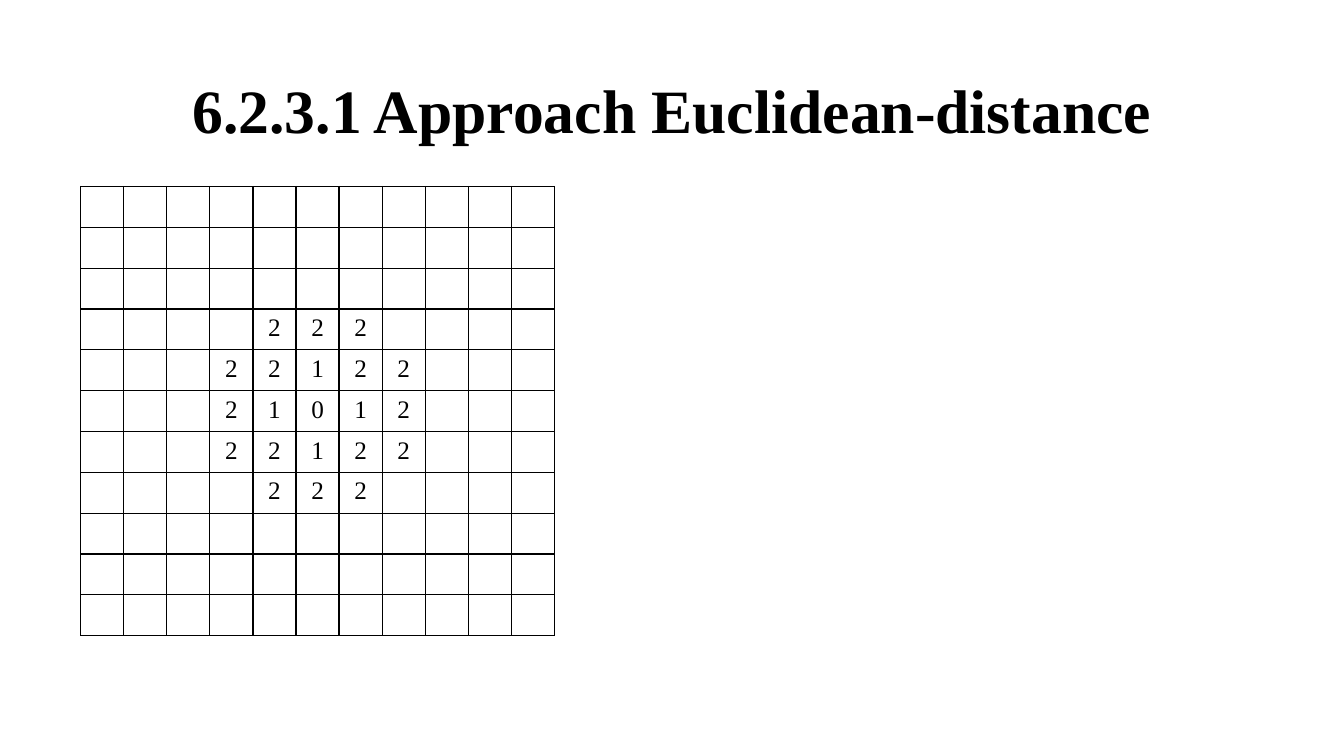
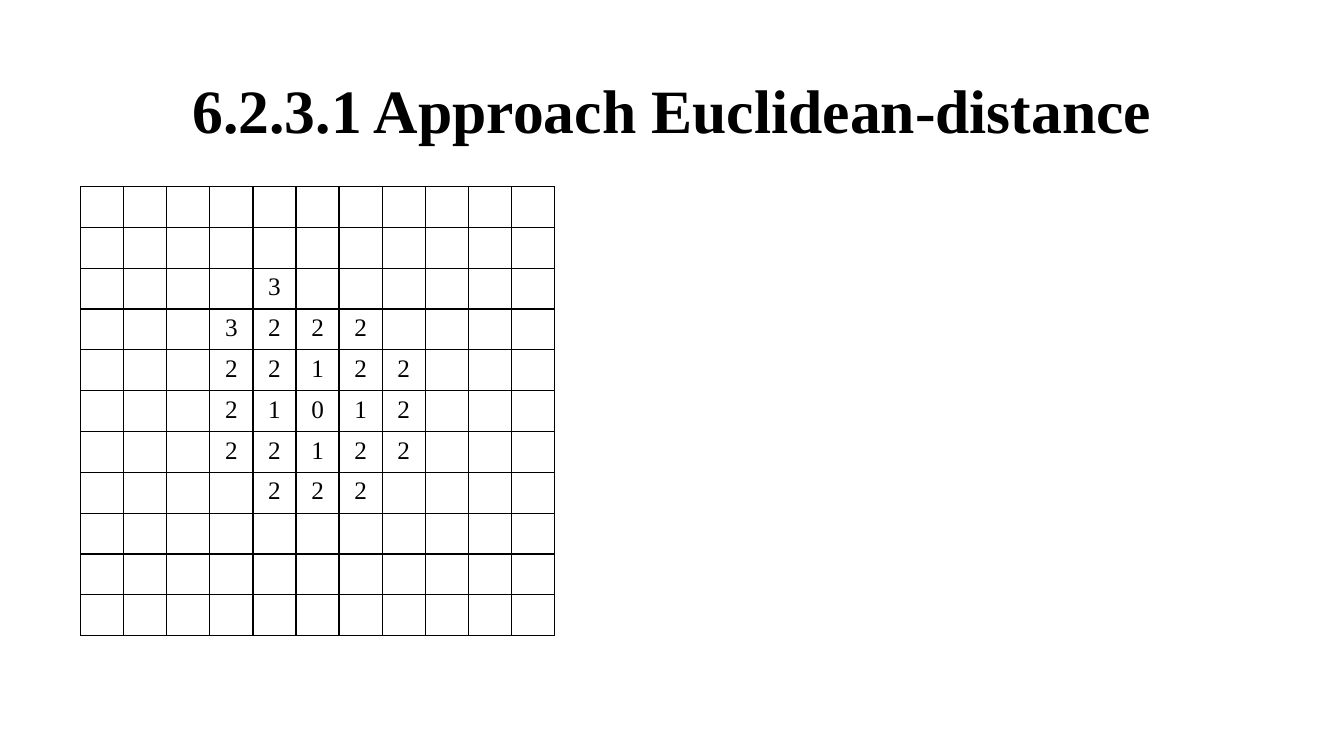
import pptx
import pptx.dml.color
import pptx.enum.text
import pptx.oxml
import pptx.oxml.ns
import pptx.util

PX = 9144
FONT = "Times New Roman"
COLORS = {"text": "000000", "grid": "000000", "background": "FFFFFF"}
TITLE = "6.2.3.1 Approach Euclidean-distance"
TITLE_BOX = (92, 40, 1150, 145)
GRID_BOX = (80, 185, 470, 446)
GRID_SIZE = 11
GRID_LINE = pptx.util.Pt(1)

NEAR_DISTANCES = {
    (3, 4): "222",
    (4, 3): "22122",
    (5, 3): "21012",
    (6, 3): "22122",
    (7, 4): "222",
}
FAR_DISTANCES = {(2, 4): "3", (3, 3): "3"}
STEPS = [NEAR_DISTANCES, {**NEAR_DISTANCES, **FAR_DISTANCES}]


def rgb(name):
    """Return the named palette colour."""
    return pptx.dml.color.RGBColor.from_string(COLORS[name])


def to_emu(box):
    """Turn a box in px into EMU lengths."""
    return [pptx.util.Emu(length * PX) for length in box]


def write_centred(paragraph, text, size, bold=False):
    """Fill a paragraph with centred text in the shared font."""
    paragraph.text = text
    paragraph.alignment = pptx.enum.text.PP_ALIGN.CENTER
    font = paragraph.font
    font.name = FONT
    font.size = pptx.util.Pt(size)
    font.bold = bold
    font.color.rgb = rgb("text")


def add_title(slide, box):
    """Place the slide title in the middle of its box."""
    frame = slide.shapes.add_textbox(*to_emu(box)).text_frame
    frame.word_wrap = True
    frame.vertical_anchor = pptx.enum.text.MSO_ANCHOR.MIDDLE
    heading = frame.paragraphs[0]
    write_centred(heading, TITLE, 44, bold=True)
    heading.line_spacing = 0.9


def outline_cell(cell):
    """Draw the four borders of a cell and leave it unfilled."""
    properties = cell._tc.get_or_add_tcPr()
    for side in ("lnL", "lnR", "lnT", "lnB"):
        properties.append(pptx.oxml.parse_xml(
            f'<a:{side} {pptx.oxml.ns.nsdecls("a")} w="{GRID_LINE}"><a:solidFill>'
            f'<a:srgbClr val="{COLORS["grid"]}"/></a:solidFill></a:{side}>'
        ))
    cell.fill.background()


def add_distance_grid(slide, box, distances):
    """Place the square grid and write each run of distances from its start cell."""
    left, top, width, height = to_emu(box)
    grid = slide.shapes.add_table(GRID_SIZE, GRID_SIZE, left, top, width, height).table
    grid.first_row = False
    grid.horz_banding = False
    for column in grid.columns:
        column.width = pptx.util.Emu(width // GRID_SIZE)
    for row in grid.rows:
        row.height = pptx.util.Emu(height // GRID_SIZE)
    for cell in grid.iter_cells():
        outline_cell(cell)
    for (row_index, first_column), digits in distances.items():
        for column_index, digit in enumerate(digits, first_column):
            cell = grid.cell(row_index, column_index)
            write_centred(cell.text_frame.paragraphs[0], digit, 18)


def add_step_slide(deck, distances):
    """Add one slide showing a step of the distance calculation."""
    slide = deck.slides.add_slide(deck.slide_layouts[6])
    slide.background.fill.solid()
    slide.background.fill.fore_color.rgb = rgb("background")
    add_title(slide, TITLE_BOX)
    add_distance_grid(slide, GRID_BOX, distances)


def main():
    """Build and save the presentation."""
    deck = pptx.Presentation()
    deck.slide_width, deck.slide_height = to_emu((1333, 750))
    for distances in STEPS:
        add_step_slide(deck, distances)
    deck.save("out.pptx")


if __name__ == "__main__":
    main()
